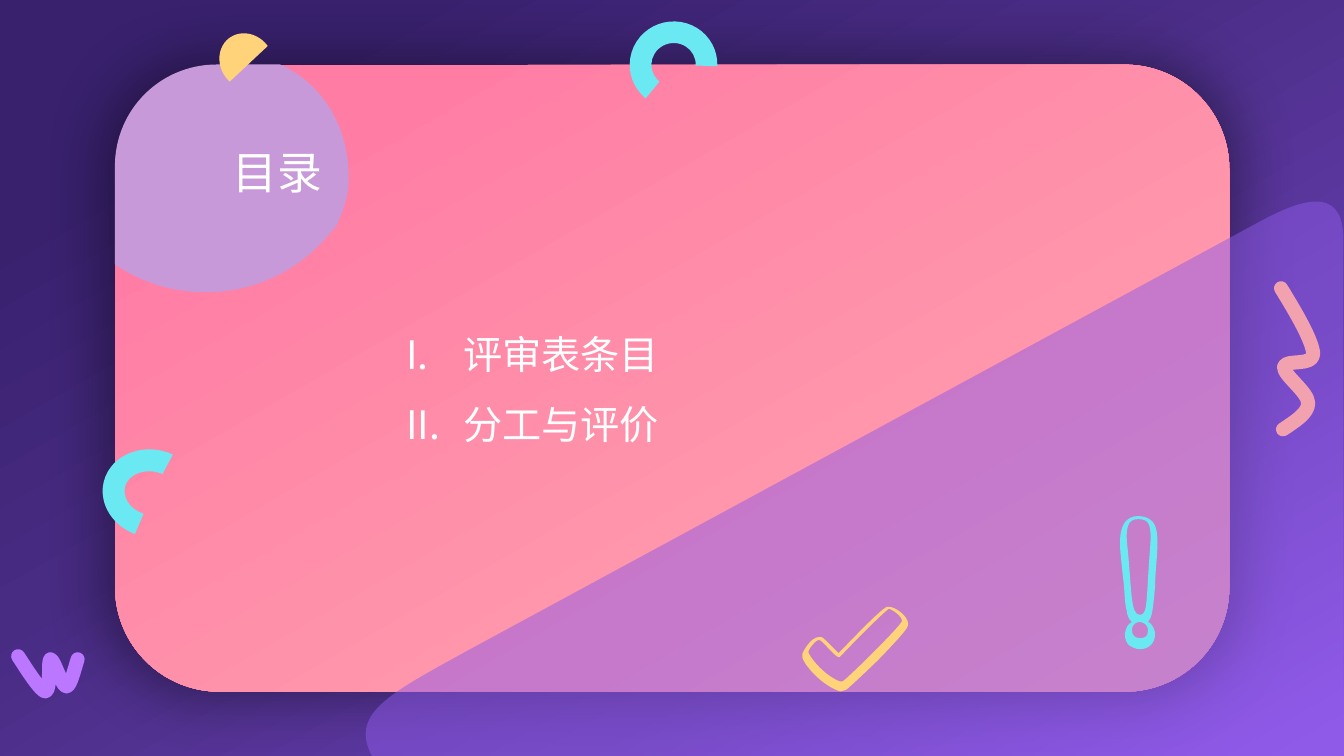
from copy import deepcopy
from pptx import Presentation
from pptx.dml.color import RGBColor
from pptx.enum.shapes import MSO_SHAPE
from pptx.enum.text import MSO_ANCHOR, MSO_AUTO_SIZE, PP_ALIGN
from pptx.oxml import parse_xml
from pptx.oxml.ns import nsdecls, qn
from pptx.util import Cm, Pt

WHITE = RGBColor(0xFF, 0xFF, 0xFF)
VIOLET = RGBColor(0x8F, 0x5A, 0xE8)
LILAC = RGBColor(0xC8, 0x99, 0xD8)
PURPLE = RGBColor(0xBB, 0x77, 0xFF)
YELLOW = RGBColor(0xFF, 0xD3, 0x79)
CYAN = RGBColor(0x6A, 0xE9, 0xF3)
ROSE = RGBColor(0xF2, 0xA2, 0xAE)
NIGHT = [(0.15, RGBColor(0x39, 0x21, 0x6E)), (0.41, RGBColor(0x48, 0x2B, 0x83)),
         (0.71, RGBColor(0x60, 0x3B, 0xA6)), (0.98, VIOLET)]
PINK = [(0.15, RGBColor(0xFF, 0x7D, 0xA5)), (0.98, RGBColor(0xFF, 0xA9, 0xB1))]
FONT = "Noto Sans CJK JP"
INCH = 2.54

TITLE = ["目录"]
TOPICS = ["评审表条目", "分工与评价"]
TITLE_BOX = (5.61, 2.84, 12.04, 2.06)
TOPICS_BOX = (9.99, 7.6, 7.92, 3.84)
CARD_BOX = (2.9, 1.63, 28.08, 15.8)

BLOB = [[(2.15, 0.64), (2.78, 0.64), (3.21, 0.84, 3.46, 1.26, 3.46, 1.77),
         (3.46, 1.91, 3.42, 2.05, 3.36, 2.19), (3.34, 2.24), (3.26, 2.33),
         (2.97, 2.68, 2.53, 2.9, 2.04, 2.9), (1.71, 2.9, 1.4, 2.8, 1.15, 2.63),
         (1.14, 2.62), (1.14, 1.65), (1.14, 1.09, 1.59, 0.64, 2.15, 0.64)]]
WAVE = [[(13.33, 7.5), (13.33, 2.38), (13.33, 1.8, 12.86, 2, 12.46, 2.22),
         (4.63, 6.46), (3.85, 6.89, 3.47, 7.08, 3.69, 7.5), (13.33, 7.5)]]
CHECK = [
    [(9.01, 6.19), (9.01, 6.11, 8.88, 6.02, 8.82, 6.02),
     (8.82, 6.02, 8.81, 6.02, 8.8, 6.02), (8.73, 6.05, 8.42, 6.38, 8.32, 6.48),
     (8.3, 6.46, 8.27, 6.43, 8.25, 6.41), (8.2, 6.36, 8.17, 6.33, 8.15, 6.32),
     (8.14, 6.32, 8.13, 6.32, 8.13, 6.32), (8.09, 6.32, 8.05, 6.35, 8.02, 6.39),
     (7.99, 6.43, 7.95, 6.48, 7.96, 6.52), (7.97, 6.58, 8.13, 6.78, 8.31, 6.85),
     (8.32, 6.86, 8.33, 6.86, 8.34, 6.86), (8.34, 6.86, 8.34, 6.86, 8.34, 6.86),
     (8.35, 6.86, 8.36, 6.86, 8.37, 6.85), (8.38, 6.85, 8.38, 6.85, 8.38, 6.85),
     (8.39, 6.85, 8.42, 6.83, 8.71, 6.55), (9.01, 6.24, 9.01, 6.22, 9.01, 6.19)],
    [(8.36, 6.76), (8.36, 6.76, 8.36, 6.76, 8.36, 6.76),
     (8.35, 6.76, 8.34, 6.76, 8.33, 6.76),
     (8.16, 6.69, 8.03, 6.51, 8.02, 6.47), (8.02, 6.44, 8.1, 6.34, 8.13, 6.35),
     (8.16, 6.35, 8.29, 6.53, 8.33, 6.52), (8.49, 6.35, 8.78, 6.06, 8.82, 6.04),
     (8.84, 6.04, 8.95, 6.11, 8.95, 6.16), (8.95, 6.2, 8.39, 6.75, 8.36, 6.76)]]
EXCLAMATION = [
    [(11.46, 5.82), (11.46, 5.74, 11.47, 5.63, 11.48, 5.5),
     (11.49, 5.31, 11.48, 5.22, 11.43, 5.17), (11.39, 5.13, 11.34, 5.12, 11.29, 5.12),
     (11.24, 5.12, 11.2, 5.14, 11.17, 5.17), (11.12, 5.23, 11.1, 5.33, 11.12, 5.51),
     (11.13, 5.62, 11.14, 5.71, 11.15, 5.79), (11.16, 5.91, 11.16, 6, 11.18, 6.06),
     (11.18, 6.08, 11.19, 6.14, 11.23, 6.17), (11.19, 6.19, 11.17, 6.23, 11.16, 6.29),
     (11.16, 6.34, 11.18, 6.38, 11.2, 6.4), (11.23, 6.42, 11.27, 6.44, 11.31, 6.44),
     (11.4, 6.44, 11.46, 6.38, 11.46, 6.29), (11.46, 6.25, 11.44, 6.21, 11.41, 6.18),
     (11.4, 6.18, 11.4, 6.17, 11.39, 6.17), (11.41, 6.15, 11.42, 6.12, 11.43, 6.08),
     (11.44, 6.03, 11.45, 5.94, 11.46, 5.82)],
    [(11.39, 6.26), (11.39, 6.32, 11.35, 6.33, 11.31, 6.33),
     (11.27, 6.33, 11.23, 6.31, 11.23, 6.25), (11.23, 6.19, 11.28, 6.17, 11.31, 6.17),
     (11.35, 6.18, 11.39, 6.19, 11.39, 6.26)],
    [(11.41, 5.45), (11.37, 5.96, 11.39, 6.1, 11.31, 6.1),
     (11.22, 6.1, 11.23, 5.89, 11.19, 5.46), (11.16, 5.23, 11.19, 5.15, 11.29, 5.15),
     (11.4, 5.15, 11.43, 5.19, 11.41, 5.45)]]
SQUIGGLE = [[(12.71, 2.86), (12.87, 3.12, 13.02, 3.38, 13.03, 3.51),
             (13.03, 3.64, 12.75, 3.56, 12.74, 3.64), (12.73, 3.72, 12.98, 3.89, 12.98, 4),
             (12.98, 4.1, 12.85, 4.18, 12.73, 4.26)]]
SCRIBBLE = [[(0.65, 6.39), (0.48, 6.5, 0.31, 6.61, 0.3, 6.66),
             (0.3, 6.72, 0.61, 6.68, 0.62, 6.71), (0.62, 6.75, 0.35, 6.82, 0.35, 6.87),
             (0.36, 6.91, 0.49, 6.94, 0.62, 6.98)]]

BLOB_BOX = (1.14, 0.64, 2.32, 2.26)
FILLED = [(WAVE, (3.63, 2, 9.71, 5.5), VIOLET, 50),
          (CHECK, (7.95, 6.02, 1.05, 0.84), YELLOW, 100),
          (EXCLAMATION, (11.1, 5.12, 0.39, 1.32), CYAN, 100)]
STROKES = [(SQUIGGLE, (12.71, 2.86, 0.32, 1.4), 0, ROSE),
           (SCRIBBLE, (0.3, 6.39, 0.35, 0.59), 270, PURPLE)]
CONFETTI = [
    (MSO_SHAPE.BLOCK_ARC, (2.73, 11.18, 2.21, 2.51), 283.1, (113.95, 8.92, 0.25), CYAN),
    (MSO_SHAPE.CHORD, (5.48, 0.89, 1.47, 1.32), 53.7, (45.78, 162), YELLOW),
    (MSO_SHAPE.BLOCK_ARC, (15.87, 0.54, 2.21, 2.18), 347.2, (85.46, 8.92, 0.25), CYAN)]


def set_all(obj, values):
    """Set each named attribute of an object."""
    for name, value in values.items():
        setattr(obj, name, value)


def place(sp, box):
    """Move and size a shape to a box."""
    set_all(sp, dict(zip(("left", "top", "width", "height"), box)))


def gradient(fill, element, stops):
    """Fill with a slanted gradient of any number of stops."""
    fill.gradient()
    fill.gradient_angle = 300
    gs_list = next(element.iter(qn("a:gsLst")))
    while len(gs_list) < len(stops):
        gs_list.append(deepcopy(gs_list[0]))
    for stop, (position, color) in zip(fill.gradient_stops, stops):
        stop.position = position
        stop.color.rgb = color


def solid(sp, color, alpha=100):
    """Give a shape a plain fill without line or shadow."""
    sp.shadow.inherit = False
    sp.line.fill.background()
    sp.fill.solid()
    sp.fill.fore_color.rgb = color
    if alpha < 100:
        clr = next(sp._element.spPr.iter(qn("a:srgbClr")))
        clr.append(parse_xml(f'<a:alpha {nsdecls("a")} val="{alpha * 1000}"/>'))


def outline(shapes, contours, box, close):
    """Draw contours of lines and cubic curves as one freeform."""
    left, top, width, height = box = [Cm(v * INCH) for v in box]
    fb = shapes.build_freeform()
    for contour in contours:
        anchors = [(Cm(seg[-2] * INCH), Cm(seg[-1] * INCH)) for seg in contour]
        fb.move_to(*anchors[0])
        fb.add_line_segments(anchors[1:], close=close)
    sp = fb.convert_to_shape()
    place(sp, box)
    outline_xml = next(sp._element.iter(qn("a:path")))
    outline_xml.set("w", str(width))
    outline_xml.set("h", str(height))
    outline_xml.remove(outline_xml[0])
    steps = [el for el in outline_xml if el.tag != qn("a:close")]
    for el, seg in zip(steps, [seg for contour in contours for seg in contour]):
        if len(seg) == 6:
            el.tag = qn("a:cubicBezTo")
            el.extend([deepcopy(el[0]), deepcopy(el[0])])
        for pt, x, y in zip(el, seg[::2], seg[1::2]):
            pt.set("x", str(Cm(x * INCH) - left))
            pt.set("y", str(Cm(y * INCH) - top))
    return sp


def write(sp, box, lines, size, numbered=False):
    """Place a placeholder on top and fill it with formatted lines."""
    place(sp, map(Cm, box))
    sp._element.getparent().append(sp._element)
    tf = sp.text_frame
    set_all(tf, {"word_wrap": True, "vertical_anchor": MSO_ANCHOR.TOP,
                 "auto_size": MSO_AUTO_SIZE.SHAPE_TO_FIT_TEXT})
    for i, line in enumerate(lines):
        p = tf.add_paragraph() if i else tf.paragraphs[0]
        set_all(p, {"alignment": PP_ALIGN.LEFT, "line_spacing": 1.5, "space_before": Pt(0)})
        if numbered:
            pPr = p._p.get_or_add_pPr()
            pPr.set("marL", str(Cm(1.43)))
            pPr.set("indent", str(-Cm(1.43)))
            pPr.append(parse_xml(f'<a:buFont {nsdecls("a")} typeface="+mj-lt"/>'))
            pPr.append(parse_xml(f'<a:buAutoNum {nsdecls("a")} type="romanUcPeriod"/>'))
        r = p.add_run()
        r.text = line
        set_all(r.font, {"name": FONT, "size": Pt(size)})
        r.font.color.rgb = WHITE
        r._r.get_or_add_rPr().append(parse_xml(f'<a:ea {nsdecls("a")} typeface="{FONT}"/>'))


def main():
    """Build the contents slide."""
    prs = Presentation()
    set_all(prs, {"slide_width": Cm(33.87), "slide_height": Cm(19.05)})
    s = prs.slides.add_slide(prs.slide_layouts[1])
    gradient(s.background.fill, s._element, NIGHT)

    card = s.shapes.add_shape(MSO_SHAPE.ROUNDED_RECTANGLE, *map(Cm, CARD_BOX))
    card.shadow.inherit = False
    card.line.fill.background()
    gradient(card.fill, card._element, PINK)
    card._element.spPr.find(qn("a:effectLst")).append(parse_xml(
        f'<a:outerShdw {nsdecls("a")} blurRad="{Pt(43)}" sx="102000" sy="102000" algn="ctr" '
        'rotWithShape="0"><a:srgbClr val="000000"><a:alpha val="40000"/></a:srgbClr></a:outerShdw>'))
    blob = outline(s.shapes, BLOB, BLOB_BOX, True)
    solid(blob, LILAC)
    s.shapes.add_group_shape([card, blob])

    for contours, box, color, alpha in FILLED:
        solid(outline(s.shapes, contours, box, True), color, alpha)
    for contours, box, rotation, color in STROKES:
        sp = outline(s.shapes, contours, box, False)
        sp.shadow.inherit = False
        sp.fill.background()
        sp.rotation = rotation
        sp.line.color.rgb = color
        sp.line.width = Pt(10)
        sp.line._get_or_add_ln().set("cap", "rnd")
    for kind, box, rotation, adjustments, color in CONFETTI:
        sp = s.shapes.add_shape(kind, *map(Cm, box))
        sp.rotation = rotation
        for i, value in enumerate(adjustments):
            sp.adjustments[i] = value
        solid(sp, color)

    write(s.shapes.title, TITLE_BOX, TITLE, 32)
    write(s.placeholders[1], TOPICS_BOX, TOPICS, 28, numbered=True)
    prs.save("out.pptx")


if __name__ == "__main__":
    main()
